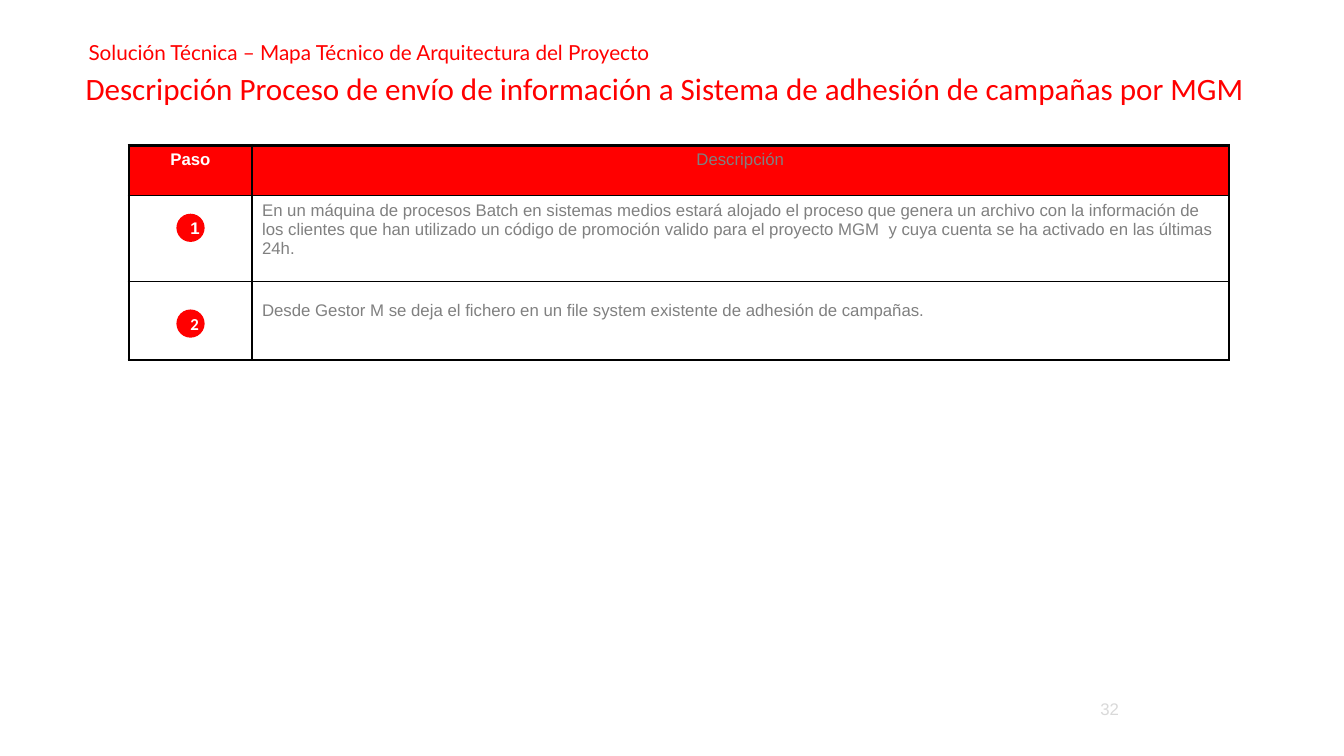
import pptx
import pptx.util
import pptx.dml.color
import pptx.enum.shapes
import pptx.enum.text
import pptx.oxml.ns
import lxml.etree

RGB = pptx.dml.color.RGBColor
RED = RGB(0xFF, 0x00, 0x00)
WHITE = RGB(0xFF, 0xFF, 0xFF)
BLACK = RGB(0x00, 0x00, 0x00)
GRAY = RGB(0x80, 0x80, 0x80)
PALE = RGB(0xD9, 0xD9, 0xD9)

ALIGN = pptx.enum.text.PP_ALIGN
MIDDLE = pptx.enum.text.MSO_ANCHOR.MIDDLE
Pt = pptx.util.Pt

# The slide is a grid of 160 columns by 90 rows.
WIDE = pptx.util.Inches(13.33)
HIGH = pptx.util.Inches(7.5)
COL = WIDE / 160
ROW = HIGH / 90

HEAD = ["Paso", "Descripción"]
STEPS = [
    "En un máquina de procesos Batch en sistemas medios estará alojado el "
    "proceso que genera un archivo con la información de los clientes que han "
    "utilizado un código de promoción valido para el proyecto MGM  y cuya "
    "cuenta se ha activado en las últimas 24h.",
    "Desde Gestor M se deja el fichero en un file system existente de "
    "adhesión de campañas.",
]


def place(x, y, w, h):
    return int(x * COL), int(y * ROW), int(w * COL), int(h * ROW)


def write(frame, text, size=12, face="Arial", color=GRAY, bold=False,
          align=ALIGN.LEFT, lead=None):
    frame.word_wrap = True
    para = frame.paragraphs[0]
    para.alignment = align
    if lead:
        para.line_spacing = lead
    run = para.add_run()
    run.text = text
    run.font.size = Pt(size)
    run.font.name = face
    run.font.bold = bold
    run.font.color.rgb = color


def label(slide, area, text, anchor=None, **form):
    frame = slide.shapes.add_textbox(*place(*area)).text_frame
    if anchor is not None:
        frame.vertical_anchor = anchor
    write(frame, text, **form)


def edge(cell, side, width):
    """Draw one border; side is L, R, T or B."""
    tag = pptx.oxml.ns.qn
    line = lxml.etree.Element(tag("a:ln" + side), w=str(int(Pt(width))))
    fill = lxml.etree.SubElement(line, tag("a:solidFill"))
    lxml.etree.SubElement(fill, tag("a:srgbClr"), val=str(BLACK))
    return line


def frame_cell(cell, widths):
    props = cell._tc.get_or_add_tcPr()
    for spot, (side, width) in enumerate(widths.items()):
        props.insert(spot, edge(cell, side, width))


def steps_table(slide, x, y, cols, rows):
    area = place(x, y, sum(cols), sum(rows))
    table = slide.shapes.add_table(len(rows), len(cols), *area).table
    for col, width in zip(table.columns, cols):
        col.width = int(width * COL)
    for row, height in zip(table.rows, rows):
        row.height = int(height * ROW)
    for r in range(len(rows)):
        for c in range(len(cols)):
            cell = table.cell(r, c)
            cell.margin_top = cell.margin_bottom = Pt(4 if r else 3.6)
            if r:
                cell.fill.background()
            else:
                cell.fill.solid()
                cell.fill.fore_color.rgb = RED
            frame_cell(cell, {
                "L": 1 if c else 2.25,
                "R": 1.5 if c == len(cols) - 1 else 1,
                "T": 1 if r else 2.25,
                "B": 1.5 if r == len(rows) - 1 else 1,
            })
    write(table.cell(0, 0).text_frame, HEAD[0], color=WHITE, bold=True,
          align=ALIGN.CENTER)
    write(table.cell(0, 1).text_frame, HEAD[1], align=ALIGN.CENTER)
    for r, (text, lead) in enumerate(zip(STEPS, [None, Pt(24)]), 1):
        write(table.cell(r, 1).text_frame, text, lead=lead)


def badge(slide, x, y, size, text, face):
    kind = pptx.enum.shapes.MSO_SHAPE.OVAL
    disc = slide.shapes.add_shape(kind, *place(x, y, size, size))
    disc.shadow.inherit = False
    disc.fill.solid()
    disc.fill.fore_color.rgb = RED
    disc.line.fill.background()
    disc.text_frame.vertical_anchor = MIDDLE
    write(disc.text_frame, text, face=face, color=WHITE, bold=True,
          align=ALIGN.CENTER)


def main():
    deck = pptx.Presentation()
    deck.slide_width = WIDE
    deck.slide_height = HIGH
    slide = deck.slides.add_slide(deck.slide_layouts[6])

    label(slide, (126, 82, 8.4, 4.8), "32", anchor=MIDDLE, color=PALE,
          align=ALIGN.RIGHT)
    label(slide, (9.36, 4.44, 141.24, 3.96),
          "Solución Técnica – Mapa Técnico de Arquitectura del Proyecto",
          size=14.8, face="Lato", color=RED, lead=0.9)
    label(slide, (9, 8.16, 146.88, 6.12),
          "Descripción Proceso de envío de información a Sistema de adhesión "
          "de campañas por MGM",
          size=22.2, face="Calibri", color=RED, lead=0.9)
    steps_table(slide, 15.36, 17.28, [14.64, 116.28], [6, 10.2, 9.36])
    badge(slide, 21, 25.44, 3.36, "1", "Arial")
    badge(slide, 21, 36.84, 3.36, "2", "Calibri")

    deck.save("out.pptx")


if __name__ == "__main__":
    main()
